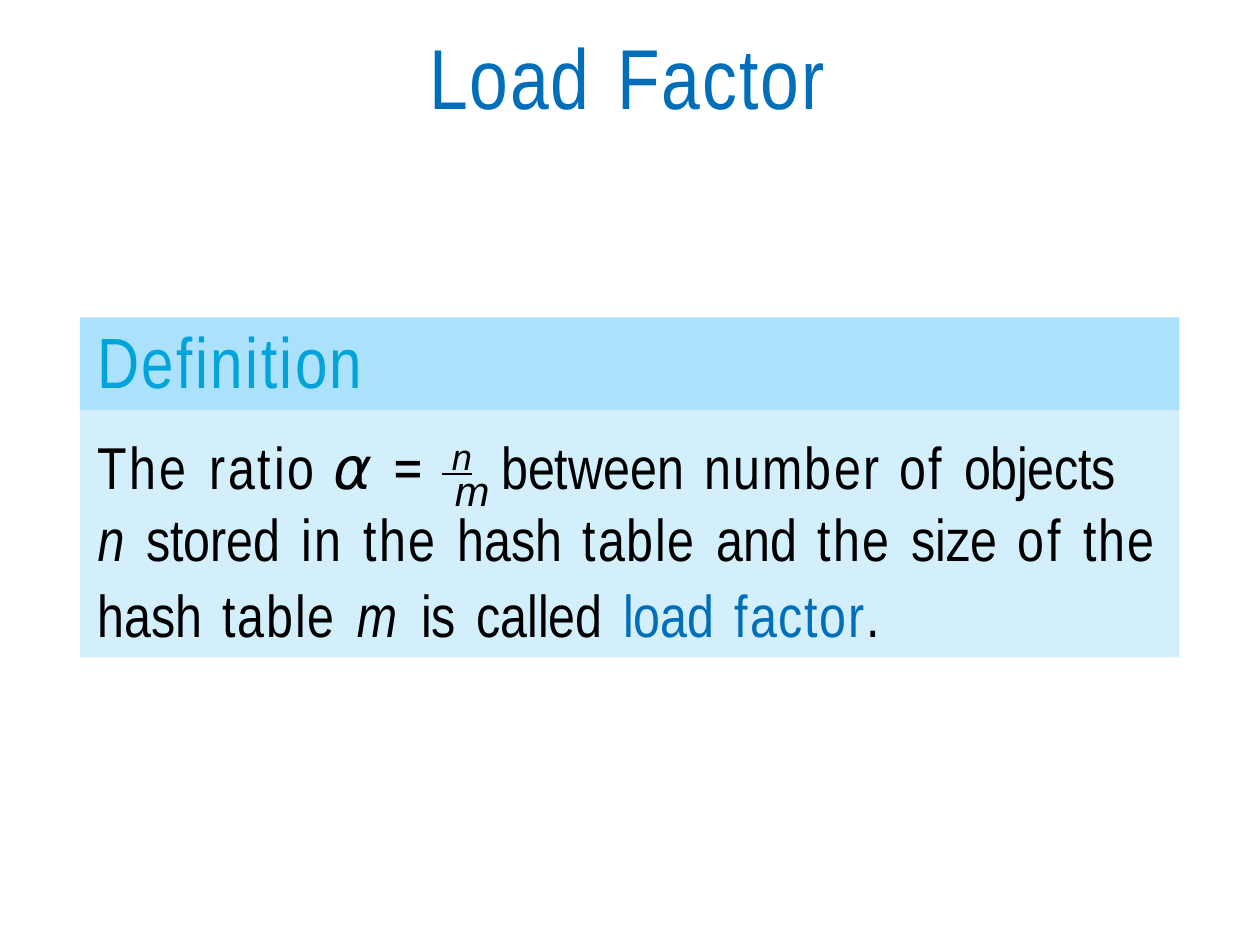
from pptx import Presentation
from pptx.dml.color import RGBColor
from pptx.enum.shapes import MSO_SHAPE as Shape
from pptx.enum.text import PP_ALIGN as Align
from pptx.util import Inches, Pt

BLUE = "006EB8"
CYAN = "00A4DB"
BLACK = "000000"
HEADER_FILL = "ABE1FA"
BODY_FILL = "D4EFFC"
NARROW = "Arial Narrow"
WORD_GAP = 1.9


def color(value):
    return RGBColor.from_string(value)


class SlideWriter:
    def __init__(self, page):
        self.page = page

    def band(self, left, top, width, height, fill):
        shape = self.page.shapes.add_shape(
            Shape.RECTANGLE, Inches(left), Inches(top), Inches(width), Inches(height))
        shape.shadow.inherit = False
        shape.fill.solid()
        shape.fill.fore_color.rgb = color(fill)
        shape.line.fill.background()

    def text(self, left, top, width, height, spans, base, inset=0.02, **layout):
        box = self.page.shapes.add_textbox(
            Inches(left), Inches(top), Inches(width), Inches(height))
        frame = box.text_frame
        margins = {"margin_left": 0, "margin_top": Inches(inset),
                   "margin_right": 0, "margin_bottom": 0, "word_wrap": True}
        for name, value in margins.items():
            setattr(frame, name, value)
        para = frame.paragraphs[0]
        for name, value in layout.items():
            setattr(para, name, value)
        for words, spacing, *changes in spans:
            style = {**base, **(changes[0] if changes else {})}
            gap = style.pop("gap", WORD_GAP)
            word = words.rstrip()
            if word:
                self.span(para, word, spacing, style)
            if word != words:
                self.span(para, " ", gap, style)

    def span(self, para, words, spacing, style):
        run = para.add_run()
        run.text = words
        style = dict(style)
        run.font.color.rgb = color(style.pop("color", BLACK))
        properties = run._r.get_or_add_rPr()
        properties.set("spc", str(round(spacing * 100)))
        if "baseline" in style:
            properties.set("baseline", str(style.pop("baseline") * 1000))
        for name, value in style.items():
            setattr(run.font, name, value)


deck = Presentation()
deck.slide_width, deck.slide_height = Pt(363), Pt(272.5)
slide = SlideWriter(deck.slides.add_slide(deck.slide_layouts[6]))

body = {"name": NARROW, "size": Pt(17)}
italic = {"italic": True}
blue = {"color": BLUE}
raised = {"name": "Arial", "size": Pt(18), "italic": True, "baseline": 32}
numerator = {**raised, "underline": True}

slide.text(0.21, 0.08, 4.6, 0.44, [("Load ", 0.5), ("Factor", 0.6)],
           {"name": NARROW, "size": Pt(24.5), "color": BLUE},
           alignment=Align.CENTER, space_before=Pt(1.2))

slide.band(0.32, 1.27, 4.4, 0.37, HEADER_FILL)
slide.text(0.39, 1.25, 1.11, 0.37, [("Definition", 0.7)],
           {"name": NARROW, "size": Pt(20.5), "color": CYAN}, space_before=Pt(1.1))

slide.band(0.32, 1.64, 4.4, 0.99, BODY_FILL)
slide.text(1.82, 1.85, 0.15, 0.23, [("m", -0.8)],
           {"name": "Arial", "size": Pt(12), "italic": True},
           inset=0.01, space_before=Pt(0.9))

ratio_line = [
    ("The ", 0.8), ("ratio ", 0.8, {"gap": 0.8}),
    ("α ", 0, {"name": "DejaVu Sans", "italic": True, "gap": 0}),
    ("= ", 0, {"name": "Roboto", "gap": 0.9}),
    (" ", 0, {**numerator, "gap": -2.5}), ("n", 0, numerator),
    (" ", 0, {**raised, "gap": 5.5}),
    ("between ", 0), ("number ", 0.6, {"gap": 1.2}), ("of ", 0.7), ("objects", -0.1),
]
slide.text(0.39, 1.69, 4.22, 0.32, ratio_line, body, space_before=Pt(1.2))

size_lines = [
    ("n ", 0.5, italic), ("stored ", 0), ("in ", 0.7), ("the ", 0.6), ("hash ", 0),
    ("table ", 0.5), ("and ", 0), ("the ", 0.6), ("size ", 0), ("of ", 0.7),
    ("the ", 0.5), ("hash ", 0), ("table ", 0.5), ("m ", 1.1, italic),
    ("is ", 0), ("called ", 0), ("load ", 0, blue), ("factor", 0.5, blue), (".", 0.5),
]
slide.text(0.39, 1.98, 4.25, 0.64, size_lines, body, inset=0.01,
           space_before=Pt(0.9), line_spacing=1.07)

deck.save("out.pptx")
